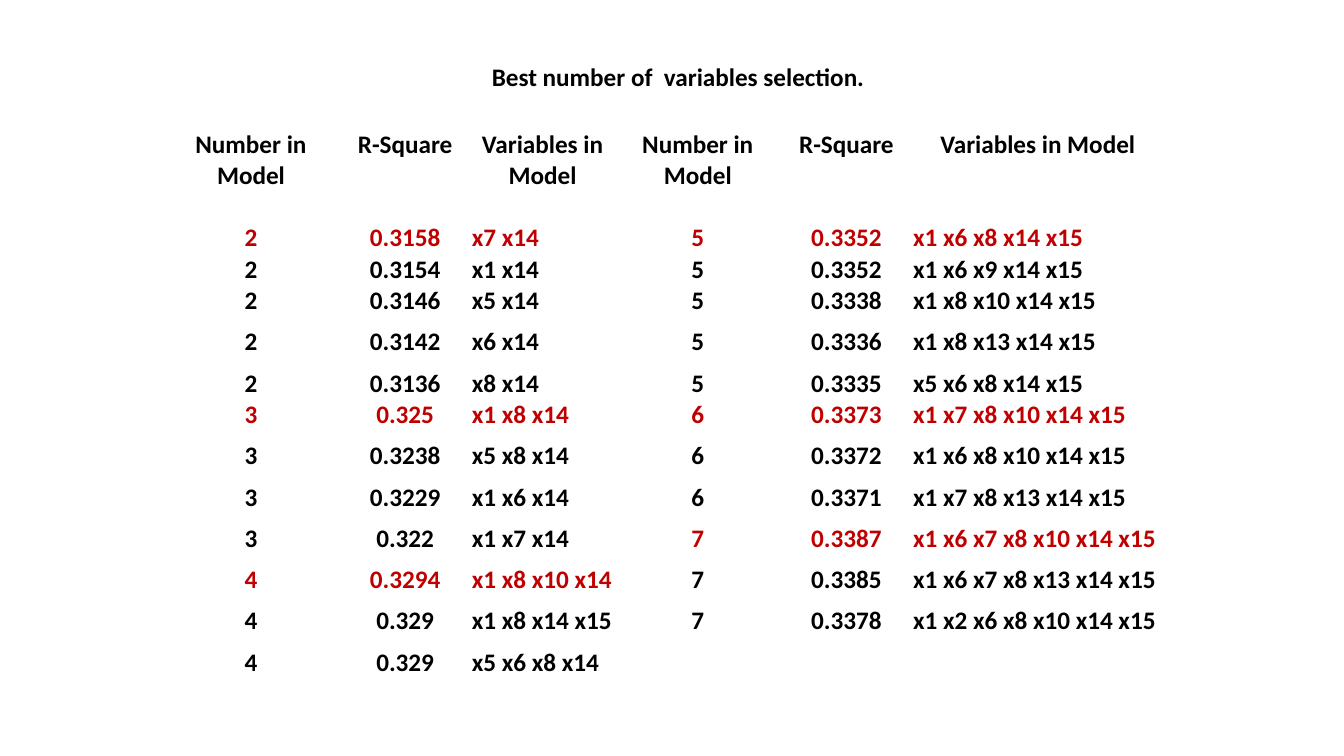
"""Build a slide listing the best regression models by number of variables."""
from dataclasses import dataclass

from pptx import Presentation
from pptx.dml.color import RGBColor
from pptx.enum.text import MSO_ANCHOR, MSO_AUTO_SIZE, PP_ALIGN
from pptx.util import Cm, Pt

LEFT, CENTER = PP_ALIGN.LEFT, PP_ALIGN.CENTER
TOP = MSO_ANCHOR.TOP
FIT_SHAPE = MSO_AUTO_SIZE.SHAPE_TO_FIT_TEXT


@dataclass(frozen=True)
class Theme:
    font: str = "Calibri"
    size: Pt = Pt(18)
    text: RGBColor = RGBColor(0x00, 0x00, 0x00)
    best: RGBColor = RGBColor(0xC0, 0x00, 0x00)


THEME = Theme()
TITLE_ONLY = 5
COLUMN_WIDTHS = [4.47, 3.3, 3.63, 4.19, 3.3, 6.35]
SHORT, TALL = 0.69, 1.04
ROW_HEIGHTS = [0.71, 0.36, SHORT, SHORT, TALL, TALL, SHORT] + [TALL] * 6 + [SHORT]
HEADER_ROWS = 2
HALF_COLUMNS = 3

MODEL_HALVES = [
    [
        ("2", "0.3158", "x7 x14"),
        ("2", "0.3154", "x1 x14"),
        ("2", "0.3146", "x5 x14"),
        ("2", "0.3142", "x6 x14"),
        ("2", "0.3136", "x8 x14"),
        ("3", "0.325", "x1 x8 x14"),
        ("3", "0.3238", "x5 x8 x14"),
        ("3", "0.3229", "x1 x6 x14"),
        ("3", "0.322", "x1 x7 x14"),
        ("4", "0.3294", "x1 x8 x10 x14"),
        ("4", "0.329", "x1 x8 x14 x15"),
        ("4", "0.329", "x5 x6 x8 x14"),
    ],
    [
        ("5", "0.3352", "x1 x6 x8 x14 x15"),
        ("5", "0.3352", "x1 x6 x9 x14 x15"),
        ("5", "0.3338", "x1 x8 x10 x14 x15"),
        ("5", "0.3336", "x1 x8 x13 x14 x15"),
        ("5", "0.3335", "x5 x6 x8 x14 x15"),
        ("6", "0.3373", "x1 x7 x8 x10 x14 x15"),
        ("6", "0.3372", "x1 x6 x8 x10 x14 x15"),
        ("6", "0.3371", "x1 x7 x8 x13 x14 x15"),
        ("7", "0.3387", "x1 x6 x7 x8 x10 x14 x15"),
        ("7", "0.3385", "x1 x6 x7 x8 x13 x14 x15"),
        ("7", "0.3378", "x1 x2 x6 x8 x10 x14 x15"),
    ],
]


def add_text(text_frame, text, alignment, color=THEME.text):
    paragraph = text_frame.paragraphs[0]
    paragraph.alignment = alignment
    run = paragraph.add_run()
    run.text = text
    run.font.name = THEME.font
    run.font.size = THEME.size
    run.font.bold = True
    run.font.color.rgb = color


presentation = Presentation()
presentation.slide_width = Cm(33.87)
presentation.slide_height = Cm(19.05)
slide = presentation.slides.add_slide(presentation.slide_layouts[TITLE_ONLY])

title = slide.shapes.title
title.left, title.top, title.width, title.height = Cm(12.14), Cm(1.42), Cm(10.13), Cm(1.02)
title.text_frame.word_wrap = True
title.text_frame.auto_size = FIT_SHAPE
title.text_frame.vertical_anchor = TOP
add_text(title.text_frame, "Best number of  variables selection.", LEFT)

table = slide.shapes.add_table(
    len(ROW_HEIGHTS), len(COLUMN_WIDTHS),
    Cm(4.09), Cm(3.23), Cm(sum(COLUMN_WIDTHS)), Cm(sum(ROW_HEIGHTS)),
).table
table.first_row = False
table.horz_banding = False
for column, width in zip(table.columns, COLUMN_WIDTHS):
    column.width = Cm(width)
for row, height in zip(table.rows, ROW_HEIGHTS):
    row.height = Cm(height)
for cell in table.iter_cells():
    cell.fill.background()
    cell.vertical_anchor = TOP
    cell.margin_left = cell.margin_top = cell.margin_right = Cm(0.03)
    cell.margin_bottom = Cm(0)

for half_index, models in enumerate(MODEL_HALVES):
    first_column = half_index * HALF_COLUMNS
    for offset, heading in enumerate(["Number in", "R-Square", "Variables in Model"]):
        heading_cell = table.cell(0, first_column + offset)
        add_text(heading_cell.text_frame, heading, CENTER)
        if offset:
            heading_cell.merge(table.cell(1, first_column + offset))
    add_text(table.cell(1, first_column).text_frame, "Model", CENTER)

    previous_number = None
    for row_index, model in enumerate(models, HEADER_ROWS):
        color = THEME.text if model[0] == previous_number else THEME.best
        previous_number = model[0]
        for offset, (text, alignment) in enumerate(zip(model, [CENTER, CENTER, LEFT])):
            cell = table.cell(row_index, first_column + offset)
            add_text(cell.text_frame, text, alignment, color)

presentation.save("out.pptx")
